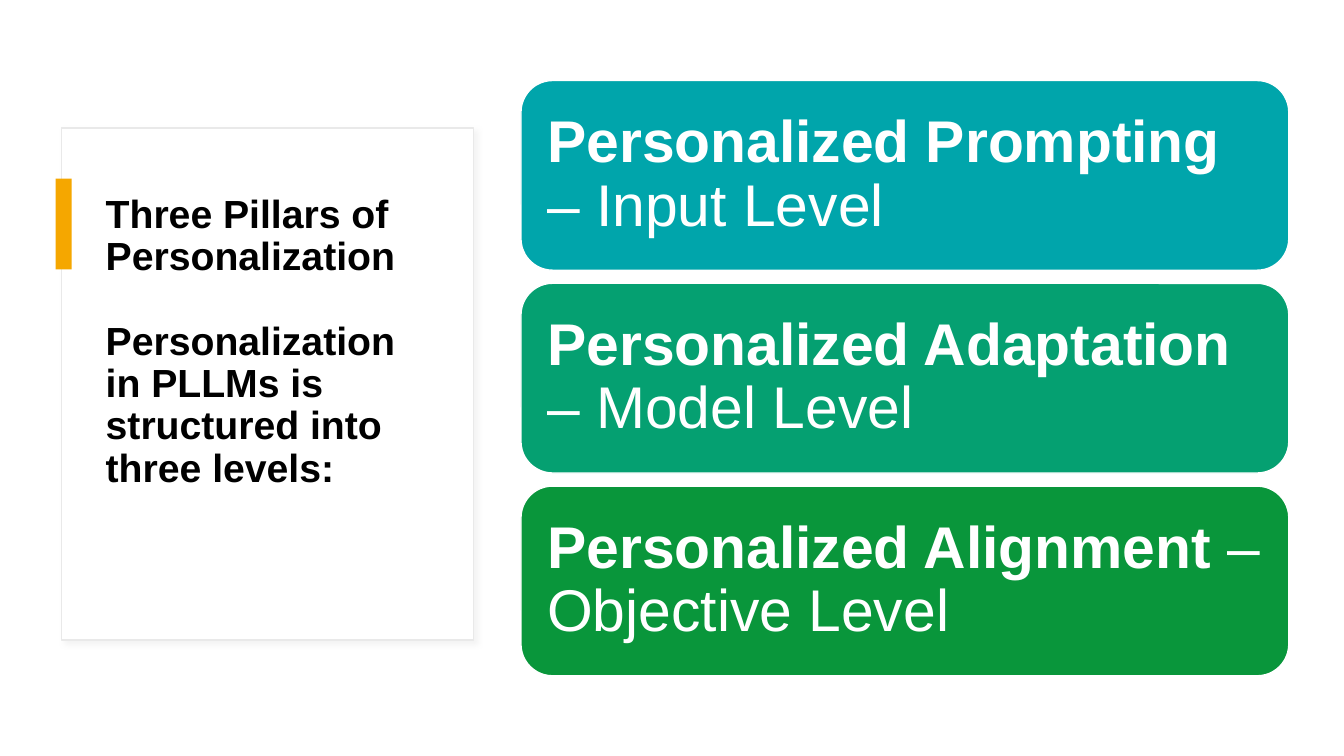
from lxml.etree import SubElement
from pptx import Presentation
from pptx.dml.color import RGBColor
from pptx.enum.shapes import MSO_SHAPE
from pptx.enum.text import MSO_ANCHOR, MSO_AUTO_SIZE, PP_ALIGN
from pptx.oxml.ns import qn
from pptx.util import Cm, Pt

WHITE = RGBColor(0xFF, 0xFF, 0xFF)
BLACK = RGBColor(0x00, 0x00, 0x00)
BORDER = RGBColor(0xE9, 0xE9, 0xE9)
SHADOW = RGBColor(0xD9, 0xD9, 0xD9)
AMBER = RGBColor(0xF5, 0xA7, 0x00)
TEAL = RGBColor(0x00, 0xA5, 0xAB)
SEA_GREEN = RGBColor(0x05, 0xA0, 0x71)
GREEN = RGBColor(0x09, 0x96, 0x3B)

TITLE = [
    "Three Pillars of Personalization",
    "Personalization in PLLMs is structured into three levels:",
]
PILLARS = [
    ("Personalized Prompting", " – Input Level", TEAL),
    ("Personalized Adaptation", " – Model Level", SEA_GREEN),
    ("Personalized Alignment", " – Objective Level", GREEN),
]
PILLAR_TOP, PILLAR_PITCH = 2.03, 5.11


class SlideBuilder:
    font = "Arial"
    title_size = Pt(28)
    pillar_size = Pt(42)
    line_spacing = 0.9

    def __init__(self, slide):
        self.slide = slide

    def shape(self, kind, left, top, width, height, fill, line=None):
        shape = self.slide.shapes.add_shape(
            kind, Cm(left), Cm(top), Cm(width), Cm(height))
        shape.shadow.inherit = False
        shape.fill.solid()
        shape.fill.fore_color.rgb = fill
        if line is None:
            shape.line.fill.background()
        else:
            shape.line.color.rgb = line
            shape.line.width = Pt(1)
        return shape

    def span(self, para, text, size, color, bold):
        span = para.add_run()
        span.text = text
        span.font.name = self.font
        span.font.size = size
        span.font.bold = bold
        span.font.color.rgb = color

    def card(self, left, top, width, height):
        card = self.shape(MSO_SHAPE.RECTANGLE, left, top, width, height, WHITE, BORDER)
        effects = card._element.spPr.find(qn("a:effectLst"))
        shadow = SubElement(effects, qn("a:outerShdw"), blurRad=str(Pt(4)),
                            dist=str(Pt(3)), dir=str(45 * 60000))
        color = SubElement(shadow, qn("a:srgbClr"), val=str(SHADOW))
        SubElement(color, qn("a:alpha"), val="30000")

    def title(self, texts, left, top, width, height):
        """Fill the title placeholder and bring it in front of the card."""
        box = self.slide.shapes.title
        box.left, box.top, box.width, box.height = map(Cm, (left, top, width, height))
        frame = box.text_frame
        frame.word_wrap = True
        frame.auto_size = MSO_AUTO_SIZE.NONE
        frame.vertical_anchor = MSO_ANCHOR.TOP
        for index, text in enumerate(texts):
            para = frame.add_paragraph() if index else frame.paragraphs[0]
            para.alignment = PP_ALIGN.LEFT
            para.line_spacing = self.line_spacing
            para.space_before = Pt(30 if index else 0)
            self.span(para, text, self.title_size, BLACK, True)
        self.slide.shapes._spTree.append(box._element)

    def pillar(self, name, level, fill, left, top, width, height):
        box = self.shape(MSO_SHAPE.ROUNDED_RECTANGLE, left, top, width, height, fill, WHITE)
        frame = box.text_frame
        frame.word_wrap = True
        frame.vertical_anchor = MSO_ANCHOR.MIDDLE
        frame.margin_left = frame.margin_right = Cm(0.43)
        frame.margin_top = frame.margin_bottom = Cm(0.43)
        para = frame.paragraphs[0]
        para.alignment = PP_ALIGN.LEFT
        para.line_spacing = self.line_spacing
        self.span(para, name, self.pillar_size, WHITE, True)
        self.span(para, level, self.pillar_size, WHITE, False)


def main():
    deck = Presentation()
    deck.slide_width, deck.slide_height = Cm(33.87), Cm(19.05)
    page = SlideBuilder(deck.slides.add_slide(deck.slide_layouts[5]))
    page.card(1.55, 3.23, 10.39, 12.9)
    page.title(TITLE, 2.41, 4.78, 8.61, 9.78)
    page.shape(MSO_SHAPE.RECTANGLE, 1.4, 4.5, 0.41, 2.29, AMBER)
    for index, (name, level, fill) in enumerate(PILLARS):
        page.pillar(name, level, fill, 13.13, PILLAR_TOP + index * PILLAR_PITCH, 19.35, 4.78)
    deck.save("out.pptx")


if __name__ == "__main__":
    main()
